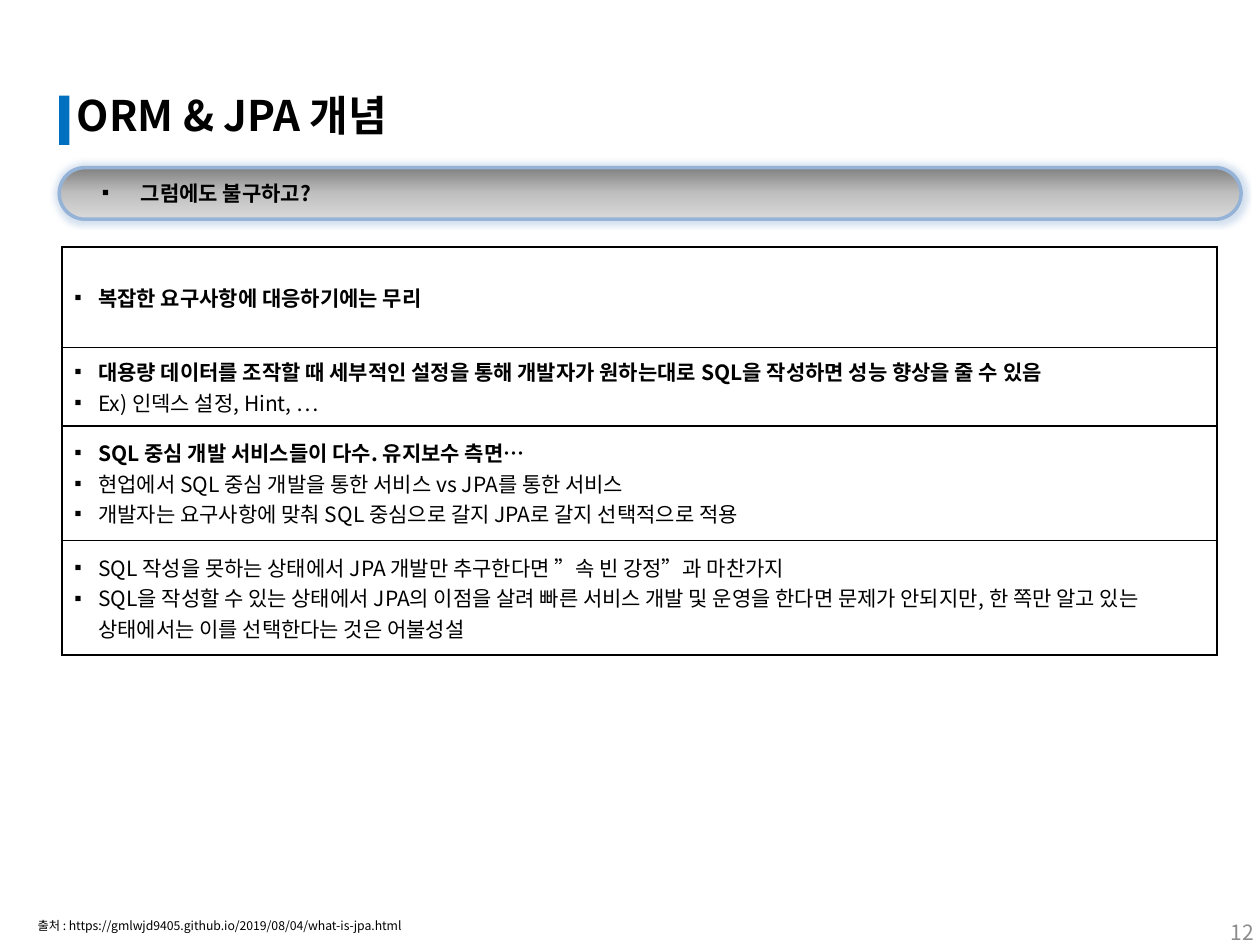
from lxml import etree
from copy import deepcopy
from pptx import Presentation, util as u
from pptx.dml.color import RGBColor
from pptx.enum import shapes, text
from pptx.oxml import ns

FONT = "Noto Sans CJK KR"
BLACK = RGBColor(0, 0, 0)
GREY = RGBColor(0x8C, 0x8C, 0x8C)
BLUE = RGBColor(0x00, 0x70, 0xC0)
EDGE = RGBColor(0x95, 0xB3, 0xD7)
SHADES = [(0, RGBColor(0x80, 0x80, 0x80)), (0.5, RGBColor(0xBF, 0xBF, 0xBF)),
          (1, RGBColor(0xD9, 0xD9, 0xD9))]

# Each row: height, then (line, bold) pairs
ROWS = [
    (0.8, [("복잡한 요구사항에 대응하기에는 무리", True)]),
    (0.62, [("대용량 데이터를 조작할 때 세부적인 설정을 통해 개발자가 원하는대로 SQL을 "
             "작성하면 성능 향상을 줄 수 있음", True),
            ("Ex) 인덱스 설정, Hint, …", False)]),
    (0.91, [("SQL 중심 개발 서비스들이 다수. 유지보수 측면…", True),
            ("현업에서 SQL 중심 개발을 통한 서비스 vs JPA를 통한 서비스", False),
            ("개발자는 요구사항에 맞춰 SQL 중심으로 갈지 JPA로 갈지 선택적으로 적용", False)]),
    (0.91, [("SQL 작성을 못하는 상태에서 JPA 개발만 추구한다면 ”속 빈 강정”과 마찬가지", False),
            ("SQL을 작성할 수 있는 상태에서 JPA의 이점을 살려 빠른 서비스 개발 및 운영을 "
             "한다면 문제가 안되지만, 한 쪽만 알고 있는 상태에서는 이를 선택한다는 것은 "
             "어불성설", False)]),
]


def sub(node, tag, **attrs):
    return etree.SubElement(node, ns.qn(tag), attrs)


class Deck:
    style = {"name": FONT, "size": u.Pt(12), "bold": False}

    def __init__(self, slide):
        self.slide = slide

    def put(self, para, line, color=BLACK, indent=None, **look):
        if indent:
            props = para._p.get_or_add_pPr()
            props.set("marL", str(u.Inches(indent)))
            props.set("indent", str(-u.Inches(indent)))
            sub(props, "a:buFont", typeface="Arial")
            sub(props, "a:buChar", char="▪")
        run = para.add_run()
        run.text = line
        for key, value in {**self.style, **look}.items():
            setattr(run.font, key, value)
        run.font.color.rgb = color
        sub(run._r.get_or_add_rPr(), "a:ea", typeface=FONT)

    def title(self, line, *box):
        shape = self.slide.shapes.title
        shape.left, shape.top, shape.width, shape.height = map(u.Inches, box)
        frame = shape.text_frame
        frame.vertical_anchor = text.MSO_ANCHOR.TOP
        para = frame.paragraphs[0]
        para.alignment = text.PP_ALIGN.LEFT
        self.put(para, line, size=u.Pt(24), bold=True)

    def label(self, line, *box, align=text.PP_ALIGN.LEFT,
              anchor=text.MSO_ANCHOR.TOP, **look):
        frame = self.slide.shapes.add_textbox(*map(u.Inches, box)).text_frame
        frame.word_wrap = True
        frame.vertical_anchor = anchor
        frame.paragraphs[0].alignment = align
        self.put(frame.paragraphs[0], line, **look)

    def shape(self, kind, *box):
        shape = self.slide.shapes.add_shape(kind, *map(u.Inches, box))
        shape.shadow.inherit = False
        return shape

    def bar(self, *box):
        bar = self.shape(shapes.MSO_SHAPE.RECTANGLE, *box)
        bar.fill.solid()
        bar.fill.fore_color.rgb = BLUE
        bar.line.fill.background()

    def pill(self, *box):
        pill = self.shape(shapes.MSO_SHAPE.ROUNDED_RECTANGLE, *box)
        pill.adjustments[0] = 0.5
        pill.line.color.rgb = EDGE
        pill.line.width = u.Pt(2)
        # Three-stop gradient, dark at the top
        pill.fill.gradient()
        pill.fill.gradient_angle = 270
        props = pill._element.spPr
        stops = props.find(".//" + ns.qn("a:gsLst"))
        stops.append(deepcopy(stops[0]))
        for stop, (place, color) in zip(pill.fill.gradient_stops, SHADES):
            stop.position = place
            stop.color.rgb = color
        # Soft glow
        glow = sub(props.find(ns.qn("a:effectLst")), "a:glow", rad=str(u.Inches(0.07)))
        tint = sub(glow, "a:srgbClr", val=str(EDGE))
        sub(tint, "a:alpha", val="40000")

    def table(self, rows, *box):
        grid = self.slide.shapes.add_table(len(rows), 1, *map(u.Inches, box)).table
        grid.first_row = grid.horz_banding = False
        for row, (height, lines) in zip(grid.rows, rows):
            row.height = u.Inches(height)
            cell = row.cells[0]
            cell.vertical_anchor = text.MSO_ANCHOR.MIDDLE
            for side in ("a:lnL", "a:lnR", "a:lnT", "a:lnB"):
                edge = sub(cell._tc.get_or_add_tcPr(), side, w=str(u.Pt(1)))
                sub(sub(edge, "a:solidFill"), "a:srgbClr", val=str(BLACK))
            cell.fill.background()
            frame = cell.text_frame
            for i, (line, bold) in enumerate(lines):
                para = frame.add_paragraph() if i else frame.paragraphs[0]
                self.put(para, line, indent=0.19, bold=bold)


def main():
    prs = Presentation()
    prs.slide_width, prs.slide_height = u.Inches(10), u.Inches(7.5)
    deck = Deck(prs.slides.add_slide(prs.slide_layouts[5]))

    # Heading
    deck.title("ORM & JPA 개념", 0.51, 0.66, 9, 0.57)
    deck.bar(0.47, 0.76, 0.08, 0.39)

    # Question banner
    deck.pill(0.47, 1.33, 9.38, 0.41)
    deck.label("그럼에도 불구하고?", 0.71, 1.38, 8.98, 0.3, indent=0.31, bold=True)

    # Points
    deck.table(ROWS, 0.49, 1.96, 9.17, 3.24)

    # Footer
    deck.label("출처 : https://gmlwjd9405.github.io/2019/08/04/what-is-jpa.html",
               0.2, 7.24, 9.49, 0.22, size=u.Pt(7))
    deck.label("12", 7.72, 7.2, 2.33, 0.4, color=GREY,
               align=text.PP_ALIGN.RIGHT, anchor=text.MSO_ANCHOR.MIDDLE)

    prs.save("out.pptx")


if __name__ == "__main__":
    main()
